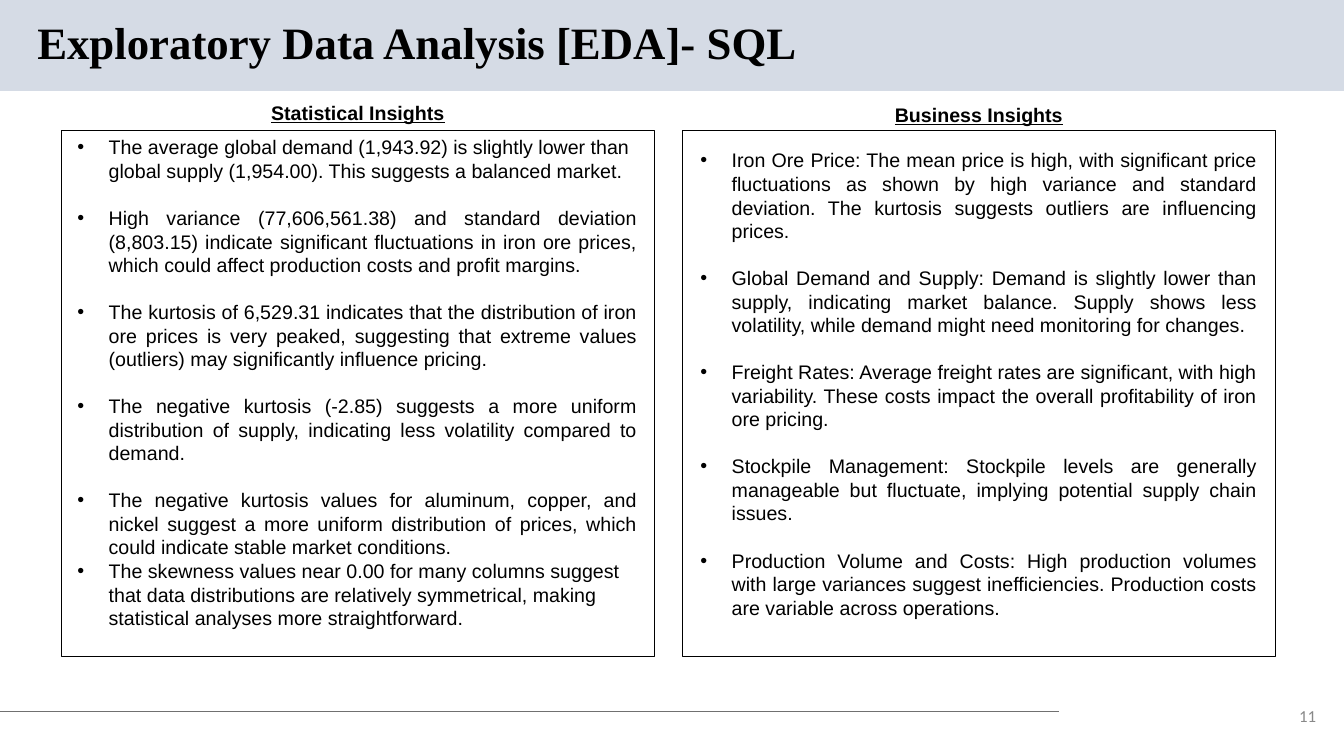
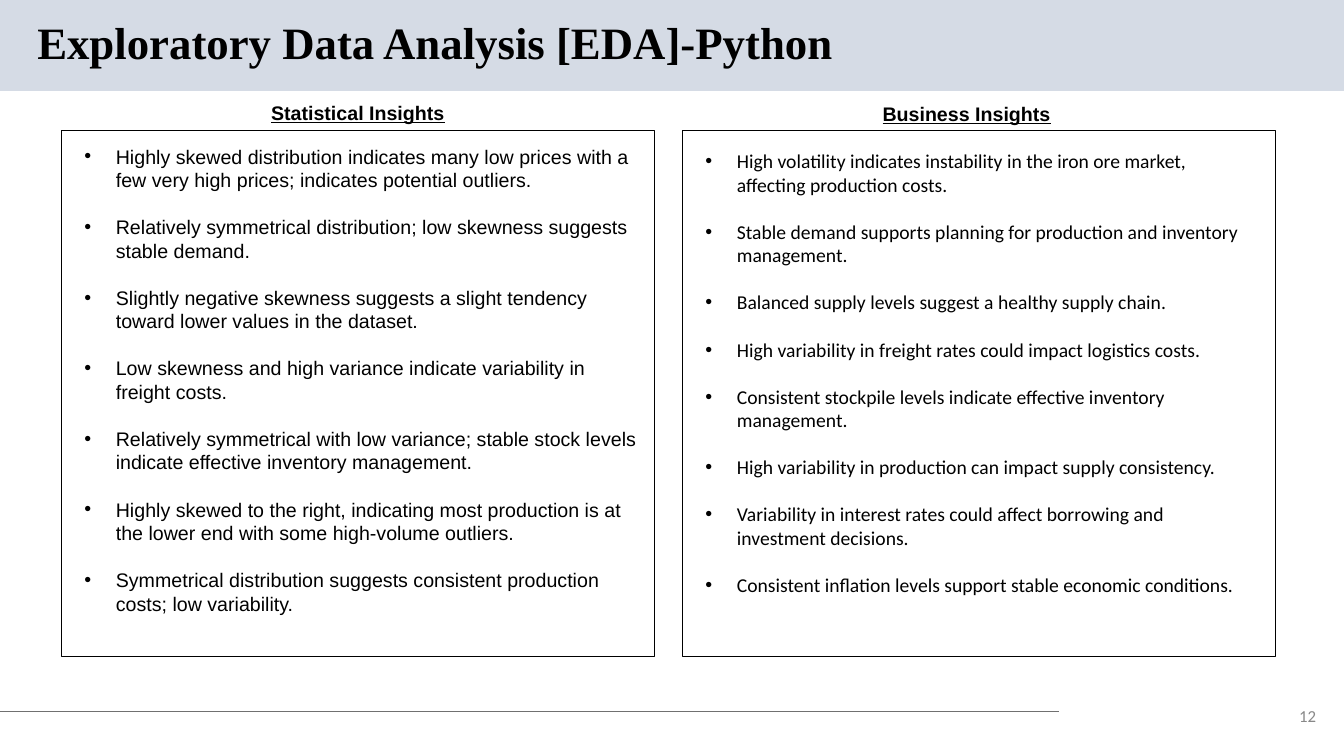
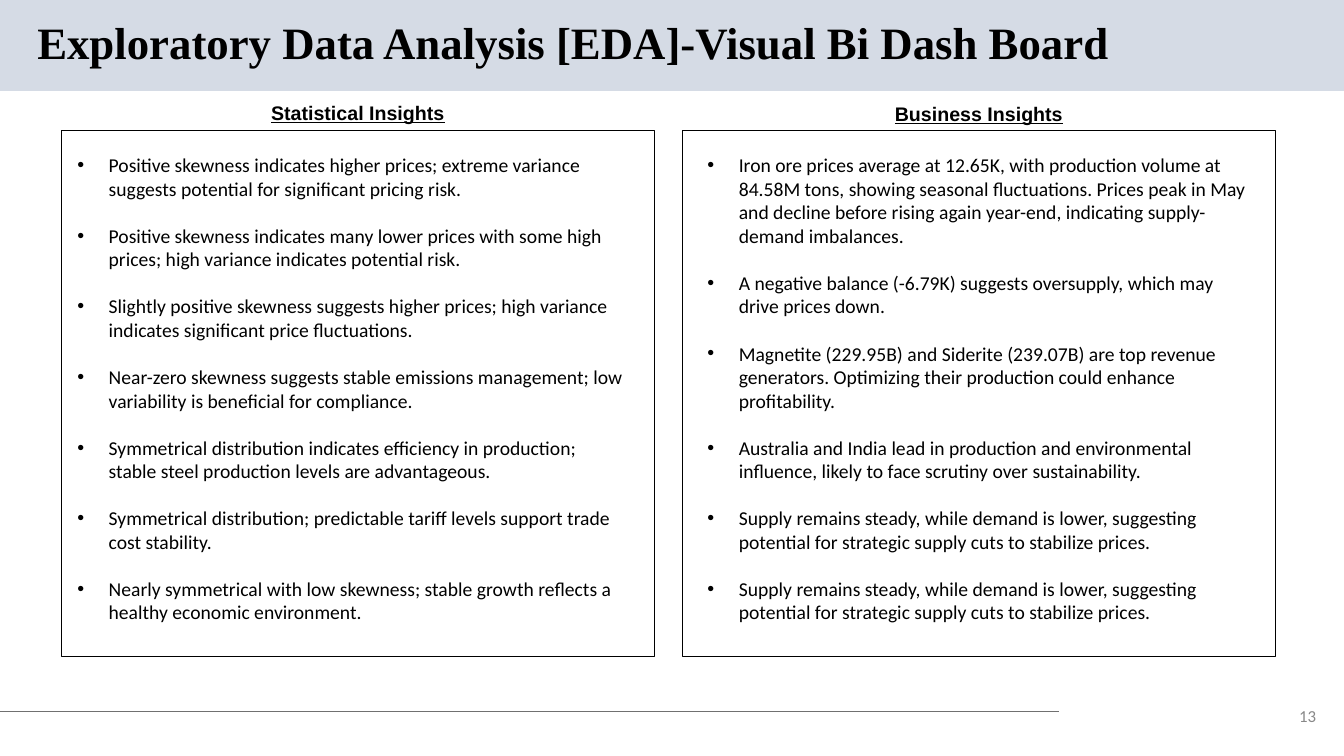
import pptx
import pptx.util
import pptx.dml.color
import pptx.enum.shapes
import pptx.enum.text
import pptx.oxml.ns
import lxml.etree

Cm = pptx.util.Cm
Pt = pptx.util.Pt
RGBColor = pptx.dml.color.RGBColor
ALIGN = pptx.enum.text.PP_ALIGN
qn = pptx.oxml.ns.qn

BAND = RGBColor(0xD5, 0xDB, 0xE5)
BLACK = RGBColor(0, 0, 0)
RULE = RGBColor(0x70, 0x70, 0x70)
GRAY = RGBColor(0x88, 0x88, 0x88)

FIRST_NUMBER = 11
LINE_PITCH = Pt(16.8)
INDENT = Cm(0.79)
BOX_TOP, BOX_WIDTH, BOX_HEIGHT = 3.28, 14.94, 13.26
BOX_LEFTS = (1.55, 17.2)
LIST_HEIGHT = 12.7

SLIDES = [
    {
        "title": "Exploratory Data Analysis [EDA]- SQL",
        "columns": [
            {
                "heading": ("Statistical Insights", 1.55, 2.41),
                "list": (1.7, 3.28, 14.61), "pad": 0.13, "font": "Arial",
                "justified": (1, 2, 3, 4), "tight": (4,),
                "items": [
                    "The average global demand (1,943.92) is slightly lower than global supply (1,954.00). This suggests a balanced market.",
                    "High variance (77,606,561.38) and standard deviation (8,803.15) indicate significant fluctuations in iron ore prices, which could affect production costs and profit margins.",
                    "The kurtosis of 6,529.31 indicates that the distribution of iron ore prices is very peaked, suggesting that extreme values (outliers) may significantly influence pricing.",
                    "The negative kurtosis (-2.85) suggests a more uniform distribution of supply, indicating less volatility compared to demand.",
                    "The negative kurtosis values for aluminum, copper, and nickel suggest a more uniform distribution of prices, which could indicate stable market conditions.",
                    "The skewness values near 0.00 for many columns suggest that data distributions are relatively symmetrical, making statistical analyses more straightforward.",
                ],
            },
            {
                "heading": ("Business Insights", 17.2, 2.46),
                "list": (17.4, 3.61, 14.53), "pad": 0.13, "font": "Arial",
                "justified": range(5), "tight": (),
                "items": [
                    "Iron Ore Price: The mean price is high, with significant price fluctuations as shown by high variance and standard deviation. The kurtosis suggests outliers are influencing prices.",
                    "Global Demand and Supply: Demand is slightly lower than supply, indicating market balance. Supply shows less volatility, while demand might need monitoring for changes.",
                    "Freight Rates: Average freight rates are significant, with high variability. These costs impact the overall profitability of iron ore pricing.",
                    "Stockpile Management: Stockpile levels are generally manageable but fluctuate, implying potential supply chain issues.",
                    "Production Volume and Costs: High production volumes with large variances suggest inefficiencies. Production costs are variable across operations.",
                ],
            },
        ],
    },
    {
        "title": "Exploratory Data Analysis [EDA]-Python",
        "columns": [
            {
                "heading": ("Statistical Insights", 1.55, 2.41),
                "list": (1.88, 3.51, 14.48), "pad": 0.13, "font": "Arial",
                "justified": (), "tight": (),
                "items": [
                    "Highly skewed distribution indicates many low prices with a few very high prices; indicates potential outliers.",
                    "Relatively symmetrical distribution; low skewness suggests stable demand.",
                    "Slightly negative skewness suggests a slight tendency toward lower values in the dataset.",
                    "Low skewness and high variance indicate variability in freight costs.",
                    "Relatively symmetrical with low variance; stable stock levels indicate effective inventory management.",
                    "Highly skewed to the right, indicating most production is at the lower end with some high-volume outliers.",
                    "Symmetrical distribution suggests consistent production costs; low variability.",
                ],
            },
            {
                "heading": ("Business Insights", 16.89, 2.44),
                "list": (17.53, 3.51, 14.3), "pad": 0.25, "font": "Calibri",
                "justified": (), "tight": (),
                "items": [
                    "High volatility indicates instability in the iron ore market, affecting production costs.",
                    "Stable demand supports planning for production and inventory management.",
                    "Balanced supply levels suggest a healthy supply chain.",
                    "High variability in freight rates could impact logistics costs.",
                    "Consistent stockpile levels indicate effective inventory management.",
                    "High variability in production can impact supply consistency.",
                    "Variability in interest rates could affect borrowing and investment decisions.",
                    "Consistent inflation levels support stable economic conditions.",
                ],
            },
        ],
    },
    {
        "title": "Exploratory Data Analysis [EDA]-Visual Bi Dash Board",
        "columns": [
            {
                "heading": ("Statistical Insights", 1.55, 2.41),
                "list": (1.7, 3.61, 14.35), "pad": 0.25, "font": "Calibri",
                "justified": (), "tight": (),
                "items": [
                    "Positive skewness indicates higher prices; extreme variance suggests potential for significant pricing risk.",
                    "Positive skewness indicates many lower prices with some high prices; high variance indicates potential risk.",
                    "Slightly positive skewness suggests higher prices; high variance indicates significant price fluctuations.",
                    "Near-zero skewness suggests stable emissions management; low variability is beneficial for compliance.",
                    "Symmetrical distribution indicates efficiency in production; stable steel production levels are advantageous.",
                    "Symmetrical distribution; predictable tariff levels support trade cost stability.",
                    "Nearly symmetrical with low skewness; stable growth reflects a healthy economic environment.",
                ],
            },
            {
                "heading": ("Business Insights", 17.2, 2.44),
                "list": (17.58, 3.61, 14.12), "pad": 0.25, "font": "Calibri",
                "justified": (), "tight": (),
                "items": [
                    "Iron ore prices average at 12.65K, with production volume at 84.58M tons, showing seasonal fluctuations. Prices peak in May and decline before rising again year-end, indicating supply-demand imbalances.",
                    "A negative balance (-6.79K) suggests oversupply, which may drive prices down.",
                    "Magnetite (229.95B) and Siderite (239.07B) are top revenue generators. Optimizing their production could enhance profitability.",
                    "Australia and India lead in production and environmental influence, likely to face scrutiny over sustainability.",
                    "Supply remains steady, while demand is lower, suggesting potential for strategic supply cuts to stabilize prices.",
                    "Supply remains steady, while demand is lower, suggesting potential for strategic supply cuts to stabilize prices.",
                ],
            },
        ],
    },
]


def add_text(s, box, lines, font, size, color=BLACK, bold=False, align=ALIGN.LEFT,
             anchor=pptx.enum.text.MSO_ANCHOR.TOP, pad=0.13):
    tf = s.shapes.add_textbox(*[Cm(v) for v in box]).text_frame
    tf.word_wrap = True
    tf.vertical_anchor = anchor
    tf.margin_left = tf.margin_right = Cm(0.25)
    tf.margin_top = tf.margin_bottom = Cm(pad)
    tf.text = "\n".join(lines)
    for p in tf.paragraphs:
        p.alignment = align
        for r in p.runs:
            r.font.name = font
            r.font.size = Pt(size)
            r.font.bold = bold
            r.font.color.rgb = color
    return tf


def add_rect(s, box):
    sp = s.shapes.add_shape(pptx.enum.shapes.MSO_SHAPE.RECTANGLE, *[Cm(v) for v in box])
    sp.shadow.inherit = False
    return sp


prs = pptx.Presentation()
prs.slide_width = Cm(33.87)
prs.slide_height = Cm(19.05)
middle = pptx.enum.text.MSO_ANCHOR.MIDDLE

for number, content in enumerate(SLIDES, FIRST_NUMBER):
    s = prs.slides.add_slide(prs.slide_layouts[6])

    band = add_rect(s, (0, 0, 33.87, 2.29))
    band.fill.solid()
    band.fill.fore_color.rgb = BAND
    band.line.fill.background()

    rule = s.shapes.add_connector(pptx.enum.shapes.MSO_CONNECTOR.STRAIGHT,
                                  Cm(0), Cm(17.93), Cm(26.7), Cm(17.93))
    rule.line.color.rgb = RULE
    rule.line.width = Pt(0.75)
    lxml.etree.SubElement(rule._element.spPr, qn("a:effectLst"))

    tf = add_text(s, (0.69, 0.41, 29.11, 1.47), [content["title"]], "Times New Roman", 32,
                  bold=True, anchor=middle)
    tf.paragraphs[0].line_spacing = 0.9
    add_text(s, (32.33, 17.63, 1.09, 0.81), [str(number)], "Calibri", 12, GRAY,
             align=ALIGN.RIGHT, anchor=middle)

    for box_left, column in zip(BOX_LEFTS, content["columns"]):
        frame = add_rect(s, (box_left, BOX_TOP, BOX_WIDTH, BOX_HEIGHT))
        frame.fill.background()
        frame.line.color.rgb = BLACK
        frame.line.width = Pt(0.75)

        heading, left, top = column["heading"]
        tf = add_text(s, (left, top, BOX_WIDTH, 0.86), [heading], "Arial", 14,
                      bold=True, align=ALIGN.CENTER)
        tf.paragraphs[0].runs[0].font.underline = True

        tf = add_text(s, (*column["list"], LIST_HEIGHT), column["items"], column["font"], 14,
                      pad=column["pad"])
        last = len(column["items"]) - 1
        for i, p in enumerate(tf.paragraphs):
            if i in column["justified"]:
                p.alignment = ALIGN.JUSTIFY
            p.line_spacing = LINE_PITCH
            p.space_after = Pt(0) if i == last or i in column["tight"] else LINE_PITCH
            pPr = p._p.get_or_add_pPr()
            pPr.set("marL", str(INDENT))
            pPr.set("indent", str(-INDENT))
            lxml.etree.SubElement(pPr, qn("a:buFont")).set("typeface", "Arial")
            lxml.etree.SubElement(pPr, qn("a:buChar")).set("char", "•")

prs.save("out.pptx")
